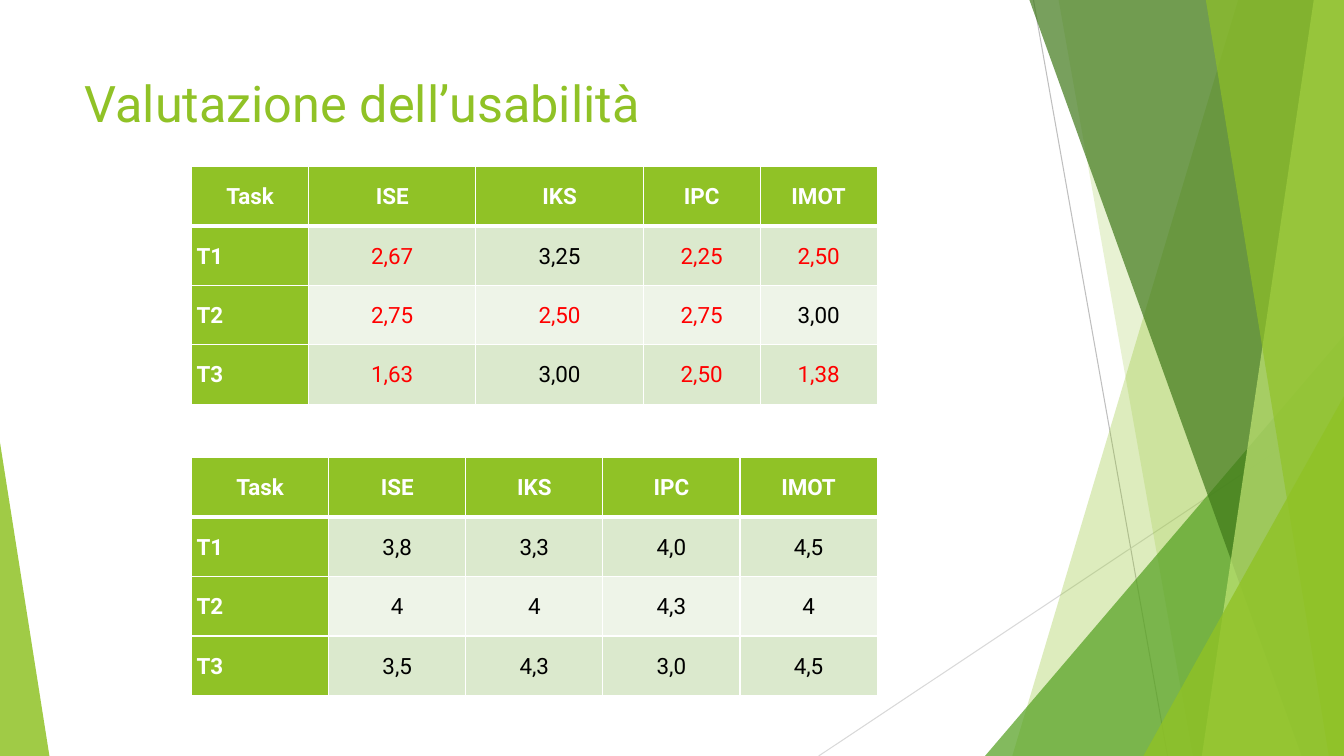
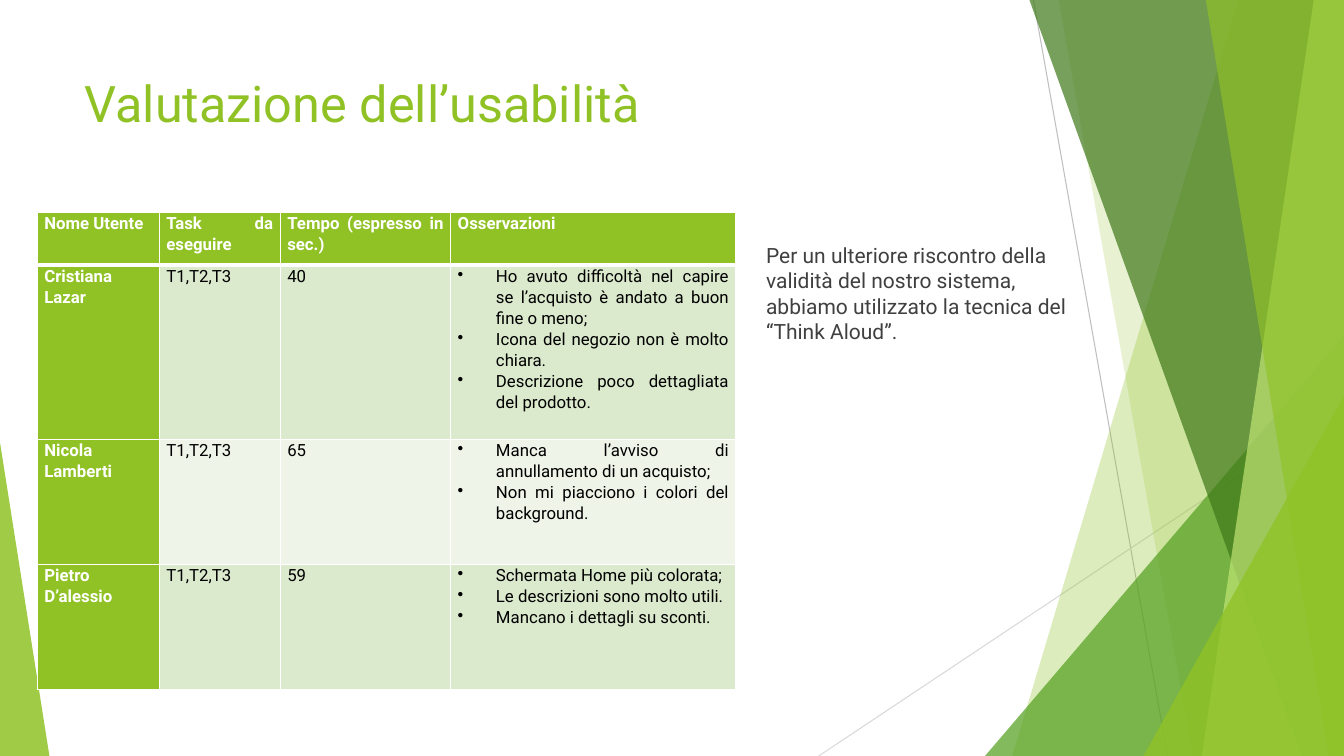
from lxml.etree import SubElement
from pptx import Presentation
from pptx.dml.color import RGBColor
from pptx.enum.shapes import MSO_CONNECTOR, MSO_SHAPE
from pptx.enum.text import MSO_ANCHOR, PP_ALIGN
from pptx.oxml.ns import qn
from pptx.util import Inches, Pt

WIDTH, HEIGHT = 13.33, 7.5
FONT = "Roboto"
GREEN, MID_GREEN, DARK_GREEN, PALE_GREEN = "90C226", "54A021", "3F7819", "C0E474"
ROW_FILLS = ("DBE9CD", "EEF4E8")
WHITE, BLACK, RED, GREY = "FFFFFF", "000000", "FF0000", "404040"
TITLE = "Valutazione dell’usabilità"
TITLE_BOX = (0.74, 0.67, 9.4, 1.44)
PASS_SCORE = 3
BULLET_INDENT = 0.38

SCORE_HEADER = ["Task", "ISE", "IKS", "IPC", "IMOT"]
FIRST_SCORES = [
    SCORE_HEADER,
    ["T1", "2,67", "3,25", "2,25", "2,50"],
    ["T2", "2,75", "2,50", "2,75", "3,00"],
    ["T3", "1,63", "3,00", "2,50", "1,38"],
]
SECOND_SCORES = [
    SCORE_HEADER,
    ["T1", "3,8", "3,3", "4,0", "4,5"],
    ["T2", "4", "4", "4,3", "4"],
    ["T3", "3,5", "4,3", "3,0", "4,5"],
]
OBSERVATIONS = [
    ["Nome Utente", "Task da eseguire", "Tempo (espresso in sec.)", "Osservazioni"],
    ["Cristiana Lazar", "T1,T2,T3", "40", [
        "Ho avuto difficoltà nel capire se l’acquisto è andato a buon fine o meno;",
        "Icona del negozio non è molto chiara.",
        "Descrizione poco dettagliata del prodotto.",
    ]],
    ["Nicola Lamberti", "T1,T2,T3", "65", [
        "Manca l’avviso di annullamento di un acquisto;",
        "Non mi piacciono i colori del background.",
    ]],
    ["Pietro D’alessio", "T1,T2,T3", "59", [
        "Schermata Home più colorata;",
        "Le descrizioni sono molto utili.",
        "Mancano i dettagli su sconti.",
    ]],
]
THINK_ALOUD = (
    "Per un ulteriore riscontro della validità del nostro sistema, "
    "abbiamo utilizzato la tecnica del “Think Aloud”."
)


def colour(value):
    """Turn a hex string into a colour."""
    return RGBColor.from_string(value)


def score_colour(text):
    """Show scores below the pass mark in red."""
    return RED if float(text.replace(",", ".")) < PASS_SCORE else BLACK


def note_colour(text):
    """Show every note in black."""
    return BLACK


SCORE_STYLE = {
    "size": 16, "inset": 0.05, "anchor": MSO_ANCHOR.MIDDLE,
    "align": PP_ALIGN.CENTER, "label_align": PP_ALIGN.LEFT, "colour": score_colour,
}
NOTE_STYLE = {
    "size": 12, "inset": 0.07, "anchor": MSO_ANCHOR.TOP,
    "align": PP_ALIGN.JUSTIFY, "label_align": PP_ALIGN.JUSTIFY, "colour": note_colour,
}


def apply_format(target, values):
    """Set each attribute named in a dict of format values."""
    for name, value in values.items():
        setattr(target, name, value)


def write_paragraph(paragraph, text, size, text_colour, bold=False):
    """Fill a paragraph with one formatted run."""
    run = paragraph.add_run()
    run.text = text
    apply_format(run.font, {"name": FONT, "size": Pt(size), "bold": bold})
    run.font.color.rgb = colour(text_colour)


def add_text(slide, box, text, size, text_colour):
    """Place a wrapped text box."""
    frame = slide.shapes.add_textbox(*map(Inches, box)).text_frame
    frame.word_wrap = True
    write_paragraph(frame.paragraphs[0], text, size, text_colour)


def add_bullet(paragraph):
    """Give a paragraph a hanging bullet."""
    properties = paragraph._p.get_or_add_pPr()
    indent = Inches(BULLET_INDENT)
    properties.set("marL", str(indent))
    properties.set("indent", str(-indent))
    SubElement(properties, qn("a:buChar"), char="•")


def add_borders(cell, widths):
    """Draw white borders of the given widths in points."""
    properties = cell._tc.get_or_add_tcPr()
    for side, width in widths.items():
        line = SubElement(properties, qn(f"a:ln{side}"), w=str(Pt(width)))
        fill = SubElement(line, qn("a:solidFill"))
        SubElement(fill, qn("a:srgbClr"), val=WHITE)


def fill_cell(cell, content, row, column, style):
    """Format one table cell by its row and column."""
    heading = row == 0 or column == 0
    add_borders(cell, {"L": 1, "R": 1, "T": 3 if row == 1 else 1, "B": 3 if row == 0 else 1})
    cell.fill.solid()
    cell.fill.fore_color.rgb = colour(GREEN if heading else ROW_FILLS[(row - 1) % 2])
    inset = Inches(style["inset"])
    apply_format(cell, {
        "margin_left": inset, "margin_right": inset, "margin_top": 0,
        "margin_bottom": 0, "vertical_anchor": style["anchor"],
    })
    bulleted = isinstance(content, list)
    frame = cell.text_frame
    for index, text in enumerate(content if bulleted else [content]):
        paragraph = frame.add_paragraph() if index else frame.paragraphs[0]
        label = column == 0 and row > 0
        apply_format(paragraph, {
            "alignment": style["label_align" if label else "align"],
            "line_spacing": 1.07,
        })
        if bulleted:
            add_bullet(paragraph)
        text_colour = WHITE if heading else style["colour"](text)
        write_paragraph(paragraph, text, style["size"], text_colour, heading)


def add_grid(slide, box, rows, widths, heights, style):
    """Place a table with green headings and banded rows."""
    frame = slide.shapes.add_table(len(rows), len(widths), *map(Inches, box))
    table = frame.table
    for column, width in zip(table.columns, widths):
        column.width = Inches(width)
    for row, height in zip(table.rows, heights):
        row.height = Inches(height)
    for row, contents in enumerate(rows):
        for column, content in enumerate(contents):
            fill_cell(table.cell(row, column), content, row, column, style)


def add_ray(slide, start, end, line_colour):
    """Draw a thin background line."""
    points = map(Inches, (*start, *end))
    connector = slide.shapes.add_connector(MSO_CONNECTOR.STRAIGHT, *points)
    connector.line.width = Pt(0.75)
    connector.line.color.rgb = colour(line_colour)
    SubElement(connector._element.spPr, qn("a:effectLst"))


def make_band(slide, top_left, bottom_left):
    """Build a full-height band with a slanted left side."""
    builder = slide.shapes.build_freeform(Inches(top_left), 0)
    corners = [(WIDTH, 0), (WIDTH, HEIGHT), (bottom_left, HEIGHT)]
    builder.add_line_segments([(Inches(x), Inches(y)) for x, y in corners])
    return builder.convert_to_shape()


def make_triangle(slide, left, width, height, apex):
    """Build a triangle that stands on the lower edge."""
    box = (left, HEIGHT - height, width, height)
    shape = slide.shapes.add_shape(MSO_SHAPE.ISOSCELES_TRIANGLE, *map(Inches, box))
    shape.adjustments[0] = apex
    return shape


FACETS = [
    (make_band, (12.28, 10.04), GREEN, 30),
    (make_band, (10.5, 11.83), GREEN, 20),
    (make_triangle, (9.77, 3.56, 4.17, 1), MID_GREEN, 72),
    (make_band, (10.21, 12.91), DARK_GREEN, 70),
    (make_band, (13.03, 11.92), PALE_GREEN, 70),
    (make_band, (11.96, 13.18), GREEN, 65),
    (make_triangle, (11.34, 1.99, 3.57, 1), GREEN, 80),
    (make_triangle, (0, 0.49, 3.11, 0), GREEN, 85),
]


def add_facets(slide):
    """Draw the shared background of lines and translucent facets."""
    add_ray(slide, (10.25, 0), (11.58, HEIGHT), "BFBFBF")
    add_ray(slide, (WIDTH, 4.03), (8.12, HEIGHT), "D9D9D9")
    for make, geometry, fill_colour, opacity in FACETS:
        shape = make(slide, *geometry)
        shape.shadow.inherit = False
        shape.line.fill.background()
        shape.fill.solid()
        shape.fill.fore_color.rgb = colour(fill_colour)
        tint = next(shape._element.spPr.iter(qn("a:srgbClr")))
        SubElement(tint, qn("a:alpha"), val=str(opacity * 1000))


def add_base_slide(presentation):
    """Add a blank slide with the shared background and title."""
    slide = presentation.slides.add_slide(presentation.slide_layouts[6])
    add_facets(slide)
    add_text(slide, TITLE_BOX, TITLE, 36, GREEN)
    return slide


def add_scores_slide(presentation):
    """Add the slide with the two score tables."""
    slide = add_base_slide(presentation)
    left, width, height = 1.9, 6.8, 2.36
    tables = [
        (1.65, FIRST_SCORES, [1.16, 1.66, 1.66, 1.16, 1.16]),
        (4.54, SECOND_SCORES, [width / len(SCORE_HEADER)] * len(SCORE_HEADER)),
    ]
    for top, rows, widths in tables:
        heights = [height / len(rows)] * len(rows)
        add_grid(slide, (left, top, width, height), rows, widths, heights, SCORE_STYLE)


def add_observations_slide(presentation):
    """Add the slide with the user observations."""
    slide = add_base_slide(presentation)
    add_text(slide, (7.5, 2.36, 3.39, 4.24), THINK_ALOUD, 15, GREY)
    add_grid(slide, (0.37, 2.11, 6.93, 4.72), OBSERVATIONS,
             [1.21, 1.2, 1.69, 2.83], [0.52, 1.73, 1.24, 1.24], NOTE_STYLE)


def main():
    """Build and save the presentation."""
    presentation = Presentation()
    apply_format(presentation, {"slide_width": Inches(WIDTH), "slide_height": Inches(HEIGHT)})
    add_scores_slide(presentation)
    add_observations_slide(presentation)
    presentation.save("out.pptx")


if __name__ == "__main__":
    main()
